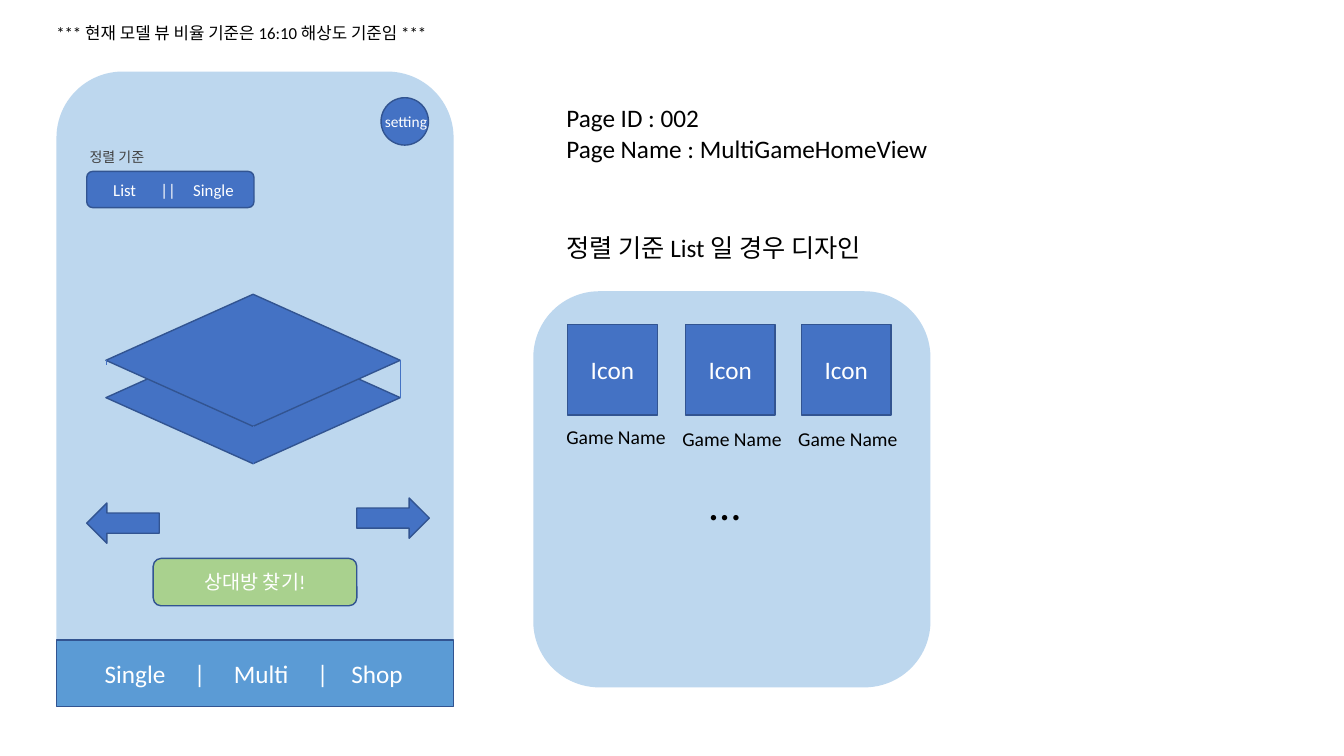
from lxml import etree
from pptx import Presentation
from pptx import util as u
from pptx.dml.color import RGBColor
from pptx.enum import shapes, text
from pptx.oxml import ns

COLORS = {
    "panel": "BDD7EE",
    "bar": "5B9BD5",
    "blue": "4472C4",
    "outline": "325491",
    "green": "A9D18E",
    "white": "FFFFFF",
    "black": "000000",
    "gray": "404040",
}
FONT = "Calibri"
WIDTH = u.Inches(13.33)
HEIGHT = u.Inches(7.5)
KIND = shapes.MSO_SHAPE


def across(percent):
    return round(WIDTH * percent / 100)


def down(percent):
    return round(HEIGHT * percent / 100)


def place(left, top, width, height):
    return across(left), down(top), across(width), down(height)


def color(name):
    return RGBColor.from_string(COLORS[name])


def add_center_tabs(paragraph, stops):
    properties = paragraph._p.get_or_add_pPr()
    tabs = etree.SubElement(properties, ns.qn("a:tabLst"))
    for stop in stops:
        etree.SubElement(tabs, ns.qn("a:tab"), pos=str(across(stop)), algn="ctr")


def write(shape, words, size, ink="white", align=text.PP_ALIGN.LEFT,
          anchor=text.MSO_ANCHOR.TOP, wrap=True, grow=False, stops=()):
    frame = shape.text_frame
    frame.word_wrap = wrap
    frame.vertical_anchor = anchor
    if grow:
        frame.auto_size = text.MSO_AUTO_SIZE.SHAPE_TO_FIT_TEXT
    if stops:
        frame.margin_left = frame.margin_right = 0
    frame.text = words
    for paragraph in frame.paragraphs:
        paragraph.alignment = align
        if stops:
            add_center_tabs(paragraph, stops)
        paragraph.font.name = FONT
        paragraph.font.size = u.Pt(size)
        paragraph.font.color.rgb = color(ink)


def add_label(slide, box, words, size, ink="black", wrap=True):
    label = slide.shapes.add_textbox(*place(*box))
    write(label, words, size, ink=ink, wrap=wrap, grow=True)


def add_block(slide, kind, box, fill="blue", outlined=True):
    shape = slide.shapes.add_shape(kind, *place(*box))
    shape.shadow.inherit = False
    shape.fill.solid()
    shape.fill.fore_color.rgb = color(fill)
    if outlined:
        shape.line.color.rgb = color("outline")
        shape.line.width = u.Pt(1)
    else:
        shape.line.fill.background()
    return shape


def add_button(slide, kind, box, words, size, fill="blue", stops=()):
    button = add_block(slide, kind, box, fill)
    align = text.PP_ALIGN.LEFT if stops else text.PP_ALIGN.CENTER
    write(button, words, size, align=align, anchor=text.MSO_ANCHOR.MIDDLE, stops=stops)


def add_edge(slide, left, top, bottom):
    edge = slide.shapes.add_connector(
        shapes.MSO_CONNECTOR.STRAIGHT, across(left), down(top), across(left), down(bottom))
    edge.line.color.rgb = color("blue")
    edge.line.width = u.Pt(0.5)
    etree.SubElement(edge._element.spPr, ns.qn("a:effectLst"))
    return edge


def add_board(slide):
    left, width, height = 7.88, 21.9, 17.47
    back_top, front_top = 43.87, 38.93
    back = add_block(slide, KIND.DIAMOND, (left, back_top, width, height))
    front = add_block(slide, KIND.DIAMOND, (left, front_top, width, height))
    middle = front_top + height / 2
    for x, site in ((left + width / 2, 2), (left + width, 3)):
        edge = add_edge(slide, x, middle, middle)
        edge.begin_connect(front, site)
        edge.end_connect(back, site)
    add_edge(slide, left, middle, middle + 0.6).begin_connect(front, 1)


def add_phone(slide):
    add_block(slide, KIND.ROUNDED_RECTANGLE, (4.2, 9.47, 29.55, 84), "panel", outlined=False)
    add_button(slide, KIND.RECTANGLE, (4.2, 84.67, 29.55, 8.8),
               "\tSingle\t|\tMulti\t|\tShop", 18, fill="bar",
               stops=(5.85, 10.65, 15.23, 19.8, 23.85))
    add_block(slide, KIND.OVAL, (28.35, 12.93, 3.53, 6.27))
    add_label(slide, (27.9, 14.13, 5.4, 3.87), "setting", 11, ink="white")
    add_button(slide, KIND.ROUNDED_RECTANGLE, (11.4, 73.87, 15.15, 6.27),
               "상대방 찾기!", 14, fill="green")
    add_board(slide)
    add_block(slide, KIND.RIGHT_ARROW, (26.55, 65.87, 5.4, 5.33))
    previous = add_block(slide, KIND.RIGHT_ARROW, (6.45, 66.53, 5.4, 5.33))
    previous.rotation = 180
    add_button(slide, KIND.ROUNDED_RECTANGLE, (6.45, 22.67, 12.45, 4.8),
               "\tList\t||\tSingle", 12, stops=(2.7, 5.93, 9.3))
    add_label(slide, (5.93, 18.93, 13.5, 3.6), "정렬 기준", 10, ink="gray")


def add_game_list(slide):
    add_label(slide, (41.4, 30.13, 25.2, 9.47), "정렬 기준 List 일 경우 디자인", 18, wrap=False)
    add_block(slide, KIND.ROUNDED_RECTANGLE, (39.68, 38.53, 29.55, 52.4), "panel", outlined=False)
    games = ((42.23, 41.4, 55.6), (51, 50.03, 55.87), (59.63, 58.65, 55.87))
    for icon_left, name_left, name_top in games:
        add_button(slide, KIND.RECTANGLE, (icon_left, 42.93, 6.68, 12), "Icon", 18)
        add_label(slide, (name_left, name_top, 9.68, 4.53), "Game Name", 14)
    add_label(slide, (52.05, 62.27, 3.83, 8.53), "…", 32, wrap=False)


def main():
    presentation = Presentation()
    presentation.slide_width = WIDTH
    presentation.slide_height = HEIGHT
    slide = presentation.slides.add_slide(presentation.slide_layouts[6])
    add_label(slide, (3.45, 2.4, 31.05, 4),
              "*** 현재 모델 뷰 비율 기준은 16:10 해상도 기준임 ***", 12, wrap=False)
    add_label(slide, (41.4, 12.93, 28.73, 9.47),
              "Page ID : 002\nPage Name : MultiGameHomeView", 18, wrap=False)
    add_phone(slide)
    add_game_list(slide)
    presentation.save("out.pptx")


if __name__ == "__main__":
    main()
